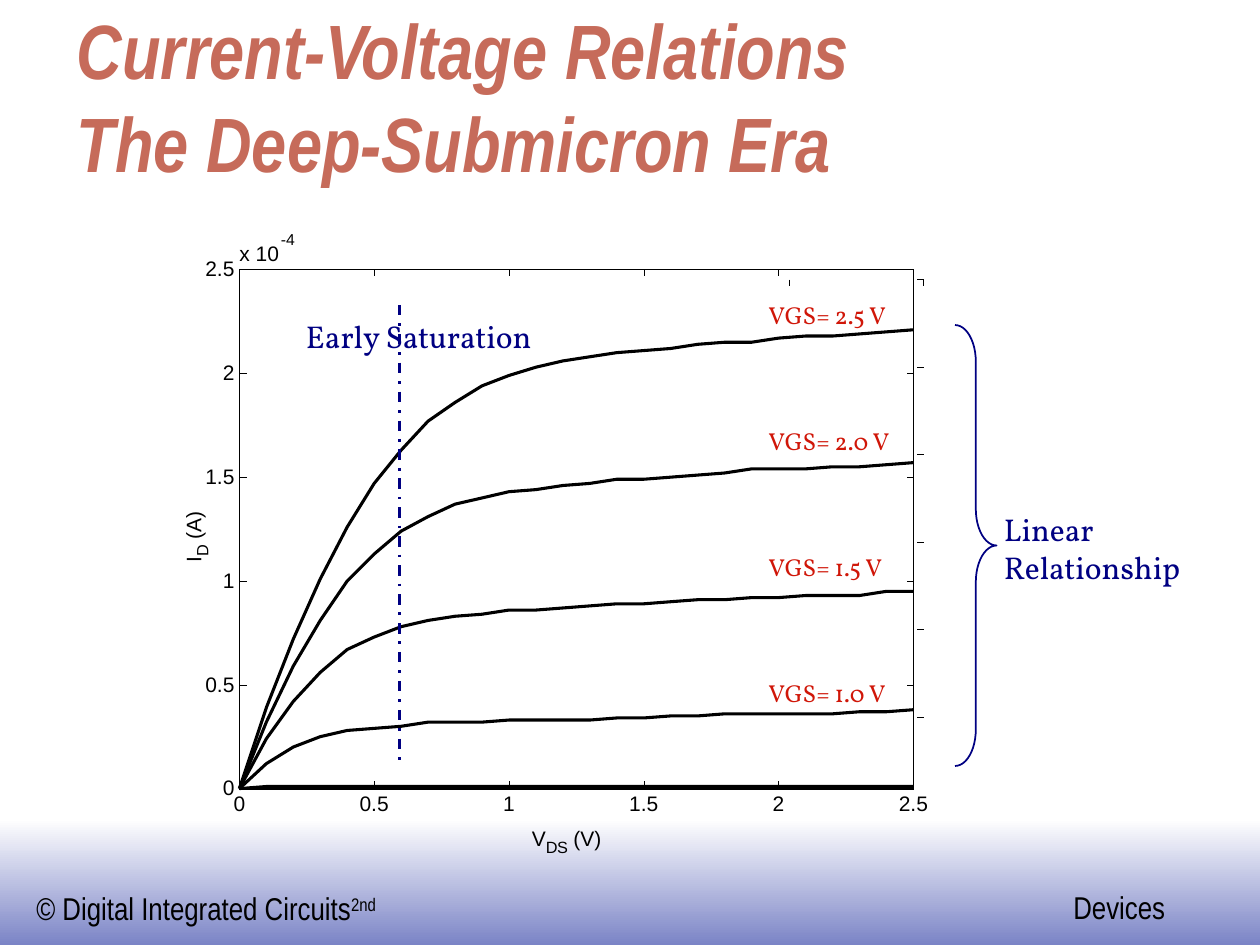
from lxml import etree
from pptx import Presentation
from pptx.chart.data import XyChartData
from pptx.dml.color import RGBColor
from pptx.enum.chart import XL_CHART_TYPE, XL_MARKER_STYLE, XL_TICK_MARK
from pptx.enum.dml import MSO_LINE
from pptx.enum.shapes import MSO_CONNECTOR, MSO_SHAPE
from pptx.enum.text import MSO_ANCHOR, PP_ALIGN
from pptx.oxml import parse_xml
from pptx.oxml.ns import nsdecls, qn
from pptx.util import Inches, Pt

SCATTER = XL_CHART_TYPE.XY_SCATTER_LINES_NO_MARKERS
NO_MARK = XL_MARKER_STYLE.NONE
INSIDE = XL_TICK_MARK.INSIDE
NO_TICK = XL_TICK_MARK.NONE
LINE = MSO_CONNECTOR.STRAIGHT
DASH_DOT = MSO_LINE.DASH_DOT
RECT, BRACE = MSO_SHAPE.RECTANGLE, MSO_SHAPE.RIGHT_BRACE


class Theme:
    ink = RGBColor(0, 0, 0)
    white = RGBColor(0xFF, 0xFF, 0xFF)
    band = RGBColor(0x7B, 0x84, 0xC6)
    rust = RGBColor(0xC6, 0x6B, 0x5A)
    navy = RGBColor(0, 0, 0x82)
    red = RGBColor(0xD0, 0x16, 0x08)
    sans, slim, serif = "Arial", "Arial Narrow", "Vollkorn"
    head, body, gate, tick, power, sub = 44, 18, 14, 12, 9, 16
    hair, rule, dash, curve = 0.25, 1, 1.5, 1.75


TITLE = ["Current-Voltage Relations", "The Deep-Submicron Era"]
CURVES = {
    "0 V": [0] * 26,
    "0.5 V": [0] + [0.01] * 25,
    "1.0 V": [0, 0.12, 0.2, 0.25, 0.28, 0.29, 0.3, 0.32, 0.32, 0.32, 0.33, 0.33, 0.33,
              0.33, 0.34, 0.34, 0.35, 0.35, 0.36, 0.36, 0.36, 0.36, 0.36, 0.37, 0.37, 0.38],
    "1.5 V": [0, 0.24, 0.42, 0.56, 0.67, 0.73, 0.78, 0.81, 0.83, 0.84, 0.86, 0.86, 0.87,
              0.88, 0.89, 0.89, 0.9, 0.91, 0.91, 0.92, 0.92, 0.93, 0.93, 0.93, 0.95, 0.95],
    "2.0 V": [0, 0.32, 0.59, 0.81, 1.0, 1.13, 1.24, 1.31, 1.37, 1.4, 1.43, 1.44, 1.46,
              1.47, 1.49, 1.49, 1.5, 1.51, 1.52, 1.54, 1.54, 1.54, 1.55, 1.55, 1.56, 1.57],
    "2.5 V": [0, 0.39, 0.72, 1.01, 1.26, 1.47, 1.63, 1.77, 1.86, 1.94, 1.99, 2.03, 2.06,
              2.08, 2.1, 2.11, 2.12, 2.14, 2.15, 2.15, 2.17, 2.18, 2.18, 2.19, 2.2, 2.21],
}
GATES = ["2.5 V", "2.0 V", "1.5 V", "1.0 V"]
AXES = [("V", "DS", " (V)"), ("I", "D", " (A)")]
FRAME = (1.35, 2.0, 6.1, 4.85)
PLOT = (1.9, 2.14, 5.35, 4.12)
TOP, STEP, TICK = 2.5, 0.5, 0.05
NOTES = [
    (0.19, 7.01, 3.5, 0.4, [[("© Digital Integrated Circuits", 0), ("2nd", 30)]],
     Theme.slim, Theme.body, Theme.ink),
    (8.42, 7.0, 1.1, 0.4, [[("Devices", 0)]], Theme.slim, Theme.body, Theme.ink),
    (7.87, 4.0, 1.8, 0.7, [[("Linear", 0)], [("Relationship", 0)]],
     Theme.serif, Theme.body, Theme.navy),
    (2.33, 2.47, 2.2, 0.4, [[("Early Saturation", 0)]],
     Theme.serif, Theme.body, Theme.navy),
] + [
    (6.0, 2.33 + i, 1.22, 0.34, [[(f"VGS= {gate}", 0)]],
     Theme.serif, Theme.gate, Theme.red)
    for i, gate in enumerate(GATES)
]
SCALE = [
    (1.9, 1.91, 0.4, 0.2, [[("x 10", 0)]], Theme.sans, Theme.tick, Theme.ink),
    (2.23, 1.82, 0.3, 0.15, [[("-4", 0)]], Theme.sans, Theme.power, Theme.ink),
]


def put(par, text, face, size, color, base=0, bold=False):
    run = par.add_run()
    run.text = text
    font = run.font
    font.name, font.size, font.bold, font.italic = face, Pt(size), bold, bold
    font.color.rgb = color
    if base:
        font._element.set("baseline", str(base * 1000))


def label(x, y, w, h, rows, face, size, color, pad=(0.1, 0.05)):
    box = slide.shapes.add_textbox(*map(Inches, (x, y, w, h)))
    frame = box.text_frame
    frame.word_wrap = True
    frame.margin_left = frame.margin_right = Inches(pad[0])
    frame.margin_top = frame.margin_bottom = Inches(pad[1])
    for i, row in enumerate(rows):
        par = frame.add_paragraph() if i else frame.paragraphs[0]
        for text, base in row:
            put(par, text, face, size, color, base)


def line(x1, y1, x2, y2, color=Theme.ink, width=Theme.hair):
    link = slide.shapes.add_connector(LINE, *map(Inches, (x1, y1, x2, y2)))
    link.line.color.rgb, link.line.width = color, Pt(width)
    etree.SubElement(link._element.spPr, qn("a:effectLst"))
    return link


def draw():
    data = XyChartData()
    for name, values in CURVES.items():
        row = data.add_series(name)
        for i, value in enumerate(values):
            row.add_data_point(i / 10, value)
    chart = slide.shapes.add_chart(SCATTER, *map(Inches, FRAME), data).chart
    chart.has_legend = chart.has_title = False
    chart.font.name, chart.font.size = Theme.sans, Pt(Theme.tick)
    chart.font.color.rgb = Theme.ink
    plot = chart.plots[0]
    plot.vary_by_categories = False
    for row in plot.series:
        row.smooth = False
        row.marker.style = NO_MARK
        row.format.line.color.rgb = Theme.ink
        row.format.line.width = Pt(Theme.curve)
    for axis, parts in zip((chart.category_axis, chart.value_axis), AXES):
        axis.minimum_scale, axis.maximum_scale, axis.major_unit = 0, TOP, STEP
        axis.has_major_gridlines = axis.has_minor_gridlines = False
        axis.major_tick_mark, axis.minor_tick_mark = INSIDE, NO_TICK
        axis.tick_labels.number_format = "General"
        axis.tick_labels.number_format_is_linked = False
        axis.format.line.color.rgb = Theme.ink
        axis.format.line.width = Pt(Theme.hair)
        par = axis.axis_title.text_frame.paragraphs[0]
        for text, base in zip(parts, (0, -25, 0)):
            size = Theme.sub if base else Theme.tick
            put(par, text, Theme.sans, size, Theme.ink, base)
    space = chart._chartSpace
    area = space.find(".//" + qn("c:plotArea"))
    for old in area.findall(qn("c:layout")):
        area.remove(old)
    share = {
        "x": (PLOT[0] - FRAME[0]) / FRAME[2], "y": (PLOT[1] - FRAME[1]) / FRAME[3],
        "w": PLOT[2] / FRAME[2], "h": PLOT[3] / FRAME[3],
    }
    sizes = "".join(f'<c:{k} val="{v:.4f}"/>' for k, v in share.items())
    area.insert(0, parse_xml(
        f'<c:layout {nsdecls("c")}><c:manualLayout><c:layoutTarget val="inner"/>'
        f'<c:xMode val="edge"/><c:yMode val="edge"/>{sizes}</c:manualLayout></c:layout>'))
    edge = f'<a:solidFill><a:srgbClr val="{Theme.ink}"/></a:solidFill>'
    area.append(parse_xml(
        f'<c:spPr {nsdecls("c", "a")}><a:noFill/>'
        f'<a:ln w="{Pt(Theme.hair)}">{edge}</a:ln></c:spPr>'))
    space.find(qn("c:chart")).addnext(parse_xml(
        f'<c:spPr {nsdecls("c", "a")}><a:noFill/><a:ln><a:noFill/></a:ln></c:spPr>'))


deck = Presentation()
deck.slide_width, deck.slide_height = Inches(10), Inches(7.5)
slide = deck.slides.add_slide(deck.slide_layouts[5])

band = slide.shapes.add_shape(RECT, *map(Inches, (0, 6.5, 10, 1)))
band.shadow.inherit = False
band.line.fill.background()
band.fill.gradient()
band.fill.gradient_angle = 270
for stop, color in zip(band.fill.gradient_stops, (Theme.white, Theme.band)):
    stop.color.rgb = color

title = slide.shapes.title
title.left, title.top, title.width, title.height = map(Inches, (0.51, 0.76, 8.5, 0.78))
title.text_frame.vertical_anchor = MSO_ANCHOR.BOTTOM
title.text_frame.word_wrap = True
par = title.text_frame.paragraphs[0]
par.alignment = PP_ALIGN.LEFT
for i, text in enumerate(TITLE):
    if i:
        par.add_line_break()
    put(par, text, Theme.slim, Theme.head, Theme.rust, bold=True)

draw()
left, top, wide, high = PLOT
right = left + wide
for i in range(6):
    x, y = left + wide * i / 5, top + high * i / 5
    line(x, top, x, top + TICK)
    line(right, y, right - TICK, y)
    y = 2.22 + 0.694 * i
    line(7.33, y, 7.28, y)
for x in (6.26, 7.33):
    line(x, 2.22, x, 2.22 + TICK)

line(3.17, 2.42, 3.17, 6.08, Theme.navy, Theme.dash).line.dash_style = DASH_DOT
brace = slide.shapes.add_shape(BRACE, *map(Inches, (7.58, 2.58, 0.33, 3.5)))
brace.shadow.inherit = False
brace.fill.background()
brace.line.color.rgb, brace.line.width = Theme.navy, Pt(Theme.rule)
brace.adjustments[0] = 0.88

for note in NOTES:
    label(*note)
for note in SCALE:
    label(*note, pad=(0, 0))

deck.save("out.pptx")
